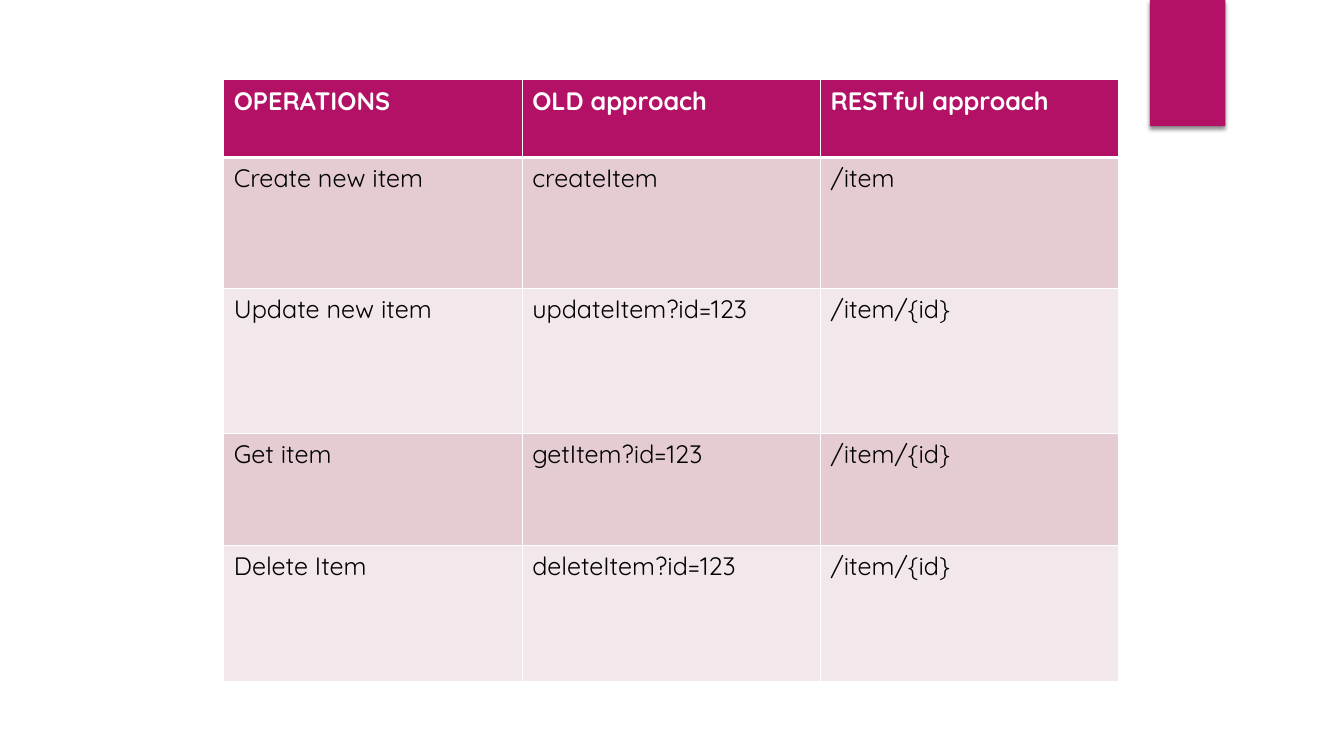
from dataclasses import dataclass

from lxml import etree
from pptx import Presentation
from pptx.dml.color import RGBColor
from pptx.enum.shapes import MSO_SHAPE
from pptx.oxml import parse_xml
from pptx.oxml.ns import nsdecls
from pptx.util import Cm, Pt

RECTANGLE = MSO_SHAPE.RECTANGLE
FONT = "Quicksand"
MAGENTA, WHITE, BLACK = "B31166", "FFFFFF", "000000"
BANDS = ("E5CCD3", "F2E7EA")
COLUMN_WIDTH = 7.52
THIN, THICK = 1, 3


@dataclass(frozen=True)
class Operation:
    texts: tuple[str, str, str]
    height: float


OPERATIONS = [
    Operation(("OPERATIONS", "OLD approach", "RESTful approach"), 1.96),
    Operation(("Create new item", "createItem", "/item"), 3.3),
    Operation(("Update new item", "updateItem?id=123", "/item/{id}"), 3.66),
    Operation(("Get item", "getItem?id=123", "/item/{id}"), 2.82),
    Operation(("Delete Item", "deleteItem?id=123", "/item/{id}"), 3.42),
]


def rgb(value: str) -> RGBColor:
    return RGBColor.from_string(value)


def set_borders(cell, top: int, bottom: int) -> None:
    """Draw white borders; they must precede the fill in the cell properties."""
    properties = cell._tc.get_or_add_tcPr()
    widths = {"lnL": THIN, "lnR": THIN, "lnT": top, "lnB": bottom}
    for position, (side, width) in enumerate(widths.items()):
        border = parse_xml(
            f'<a:{side} {nsdecls("a")} w="{Pt(width)}"><a:solidFill>'
            f'<a:srgbClr val="{WHITE}"/></a:solidFill></a:{side}>'
        )
        properties.insert(position, border)


def fill_cell(cell, text: str, row: int) -> None:
    is_header = row == 0
    cell.fill.solid()
    cell.fill.fore_color.rgb = rgb(MAGENTA if is_header else BANDS[(row - 1) % 2])
    set_borders(cell, THICK if row == 1 else THIN, THICK if is_header else THIN)
    cell.text = text
    font = cell.text_frame.paragraphs[0].font
    font.name, font.size, font.bold = FONT, Pt(18), is_header
    font.color.rgb = rgb(WHITE if is_header else BLACK)


def add_ribbon(slide) -> None:
    ribbon = slide.shapes.add_shape(RECTANGLE, Cm(28.98), Cm(0), Cm(1.9), Cm(3.18))
    ribbon.fill.solid()
    ribbon.fill.fore_color.rgb = rgb(MAGENTA)
    ribbon.line.fill.background()
    ribbon.shadow.inherit = False
    effects = ribbon._element.spPr.find("{*}effectLst")
    effects.append(etree.fromstring(
        f'<a:outerShdw {nsdecls("a")} blurRad="{Pt(3)}" dist="{Pt(2)}" dir="5400000" '
        f'rotWithShape="0"><a:srgbClr val="{BLACK}"><a:alpha val="45000"/>'
        '</a:srgbClr></a:outerShdw>'
    ))


def add_operations_table(slide) -> None:
    column_count = len(OPERATIONS[0].texts)
    table = slide.shapes.add_table(
        len(OPERATIONS), column_count, Cm(5.64), Cm(2.01),
        Cm(COLUMN_WIDTH * column_count), Cm(sum(item.height for item in OPERATIONS)),
    ).table
    for column in table.columns:
        column.width = Cm(COLUMN_WIDTH)
    for row, operation in enumerate(OPERATIONS):
        table.rows[row].height = Cm(operation.height)
        for column, text in enumerate(operation.texts):
            fill_cell(table.cell(row, column), text, row)


def main() -> None:
    presentation = Presentation()
    presentation.slide_width, presentation.slide_height = Cm(33.87), Cm(19.05)
    slide = presentation.slides.add_slide(presentation.slide_layouts[6])

    # Corner ribbon
    add_ribbon(slide)
    # Comparison of the two approaches
    add_operations_table(slide)

    presentation.save("out.pptx")


if __name__ == "__main__":
    main()
